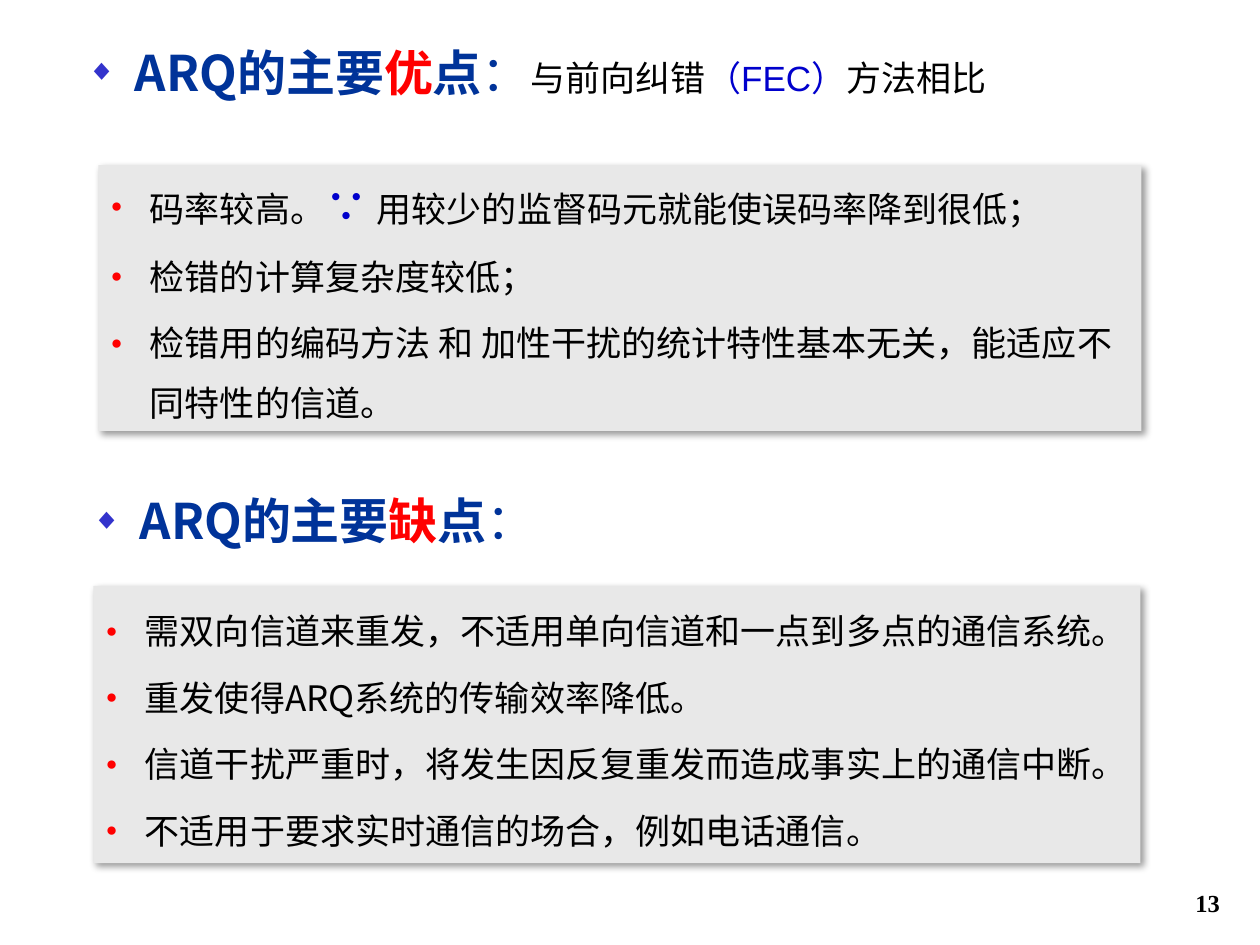
from dataclasses import dataclass

from lxml import etree
from pptx import Presentation
from pptx import util as u
from pptx.dml.color import RGBColor
from pptx.enum import text as t
from pptx.oxml.ns import qn


@dataclass(frozen=True)
class Theme:
    sans: str = "Noto Sans CJK SC"
    latin: str = "Arial"
    serif: str = "Times New Roman"
    head: str = "003399"
    key: str = "FF0000"
    note: str = "0000CC"
    ink: str = "000000"
    panel: str = "E8E8E8"
    gem: str = "3333CC"
    big: int = 28
    sign: int = 24
    body: int = 20
    small: int = 14
    line: int = 34


TH = Theme()


def style(font, size=None, color=None, name=None, bold=None):
    """Set the given font traits, for Latin and East Asian text alike."""
    if size:
        font.size = u.Pt(size)
    if color:
        font.color.rgb = RGBColor.from_string(color)
    if bold is not None:
        font.bold = bold
    if name:
        font.name = name
        latin = font._element.find(qn("a:latin"))
        east = etree.Element(qn("a:ea"), typeface=name)
        latin.addnext(east)


def bullet(para, char, color, size, indent):
    """Give the paragraph a hanging bullet; size is in percent."""
    props = para._p.get_or_add_pPr()
    props.set("marL", str(u.Inches(indent)))
    props.set("indent", str(-u.Inches(indent)))
    tint = etree.SubElement(props, qn("a:buClr"))
    etree.SubElement(tint, qn("a:srgbClr"), val=color)
    etree.SubElement(props, qn("a:buSzPct"), val=str(size * 1000))
    etree.SubElement(props, qn("a:buFont"), typeface=TH.latin)
    etree.SubElement(props, qn("a:buChar"), char=char)
    para.alignment = t.PP_ALIGN.LEFT
    para.line_spacing = u.Pt(TH.line)


def place(shape, box, anchor=t.MSO_ANCHOR.TOP):
    """Move a shape to its box and return its cleared text frame."""
    shape.left, shape.top, shape.width, shape.height = map(u.Inches, box)
    frame = shape.text_frame
    frame.word_wrap = True
    frame.auto_size = t.MSO_AUTO_SIZE.NONE
    frame.vertical_anchor = anchor
    return frame


def write(para, runs):
    """Add runs, each a text with the traits that differ."""
    for words, traits in runs:
        run = para.add_run()
        run.text = words
        style(run.font, **traits)


def shade(shape):
    """Cast a soft shadow to the lower right."""
    effects = etree.SubElement(shape._element.spPr, qn("a:effectLst"))
    outer = etree.SubElement(
        effects, qn("a:outerShdw"), blurRad=str(u.Pt(4)), dist=str(u.Pt(3)),
        dir=str(45 * 60000), algn="tl", rotWithShape="0")
    color = etree.SubElement(outer, qn("a:srgbClr"), val=TH.ink)
    etree.SubElement(color, qn("a:alpha"), val="40000")


def heading(shape, box, key, tail=()):
    """Diamond heading with one key character in red."""
    para = place(shape, box).paragraphs[0]
    bullet(para, "◆", TH.gem, 60, 0.38)
    style(para.font, TH.big, TH.head, TH.sans, True)
    write(para, [("ARQ的主要", {}), (key, {"color": TH.key}), ("点", {}),
                 ("：", {"bold": False}), *tail])


def panel(shape, box, items):
    """Grey shadowed panel with a bulleted list."""
    frame = place(shape, box)
    shape.fill.solid()
    shape.fill.fore_color.rgb = RGBColor.from_string(TH.panel)
    shade(shape)
    for i, runs in enumerate(items):
        para = frame.add_paragraph() if i else frame.paragraphs[0]
        bullet(para, "●", TH.key, 55, 0.31)
        para.space_before = u.Pt(4 if i else 0)
        style(para.font, TH.body, TH.ink, TH.sans)
        write(para, runs)


def number(shape, box, value):
    """Page number at the lower right."""
    para = place(shape, box, t.MSO_ANCHOR.BOTTOM).paragraphs[0]
    para.alignment = t.PP_ALIGN.RIGHT
    style(para.font, TH.small, TH.ink, TH.serif, True)
    write(para, [(value, {})])


def main():
    deck = Presentation()
    deck.slide_width, deck.slide_height = u.Inches(10), u.Inches(7.5)
    slide = deck.slides.add_slide(deck.slide_layouts[3])
    title, pros, cons = slide.placeholders

    def label():
        return slide.shapes.add_textbox(0, 0, 0, 0)

    # Advantages
    plain = {"size": TH.body, "color": TH.ink, "bold": False}
    heading(title, (0.59, 0.28, 7.44, 0.58), "优", [
        ("与前向纠错", plain),
        ("（FEC）", {**plain, "color": TH.note, "name": TH.latin}),
        ("方法相比", plain)])
    panel(pros, (0.78, 1.31, 8.28, 2.11), [
        [("码率较高。", {}),
         ("∵ ", {"size": TH.sign, "color": TH.note, "bold": True}),
         ("用较少的监督码元就能使误码率降到很低；", {})],
        [("检错的计算复杂度较低；", {})],
        [("检错用的编码方法 和 加性干扰的统计特性基本无关，"
          "能适应不同特性的信道。", {})]])

    # Drawbacks
    heading(label(), (0.63, 3.84, 4.61, 0.55), "缺")
    panel(cons, (0.74, 4.65, 8.31, 2.2), [
        [("需双向信道来重发，不适用单向信道和一点到多点的通信系统。", {})],
        [("重发使得ARQ系统的传输效率降低。", {})],
        [("信道干扰严重时，将发生因反复重发而造成事实上的通信中断。", {})],
        [("不适用于要求实时通信的场合，例如电话通信。", {})]])

    number(label(), (7.7, 6.83, 2.08, 0.5), "13")
    deck.save("out.pptx")


if __name__ == "__main__":
    main()
